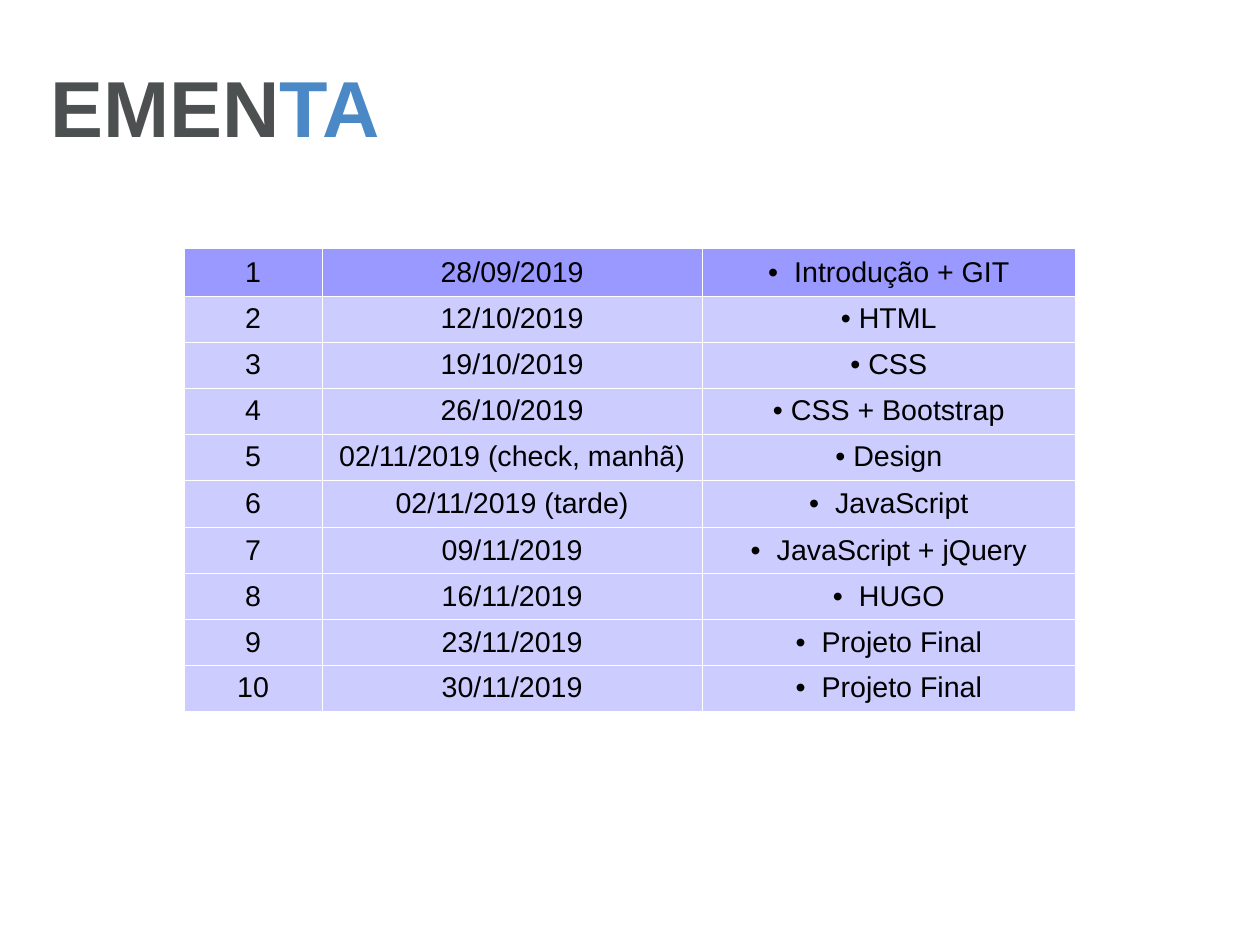
import pptx
import pptx.dml.color
import pptx.enum.text
import pptx.oxml
import pptx.oxml.ns
import pptx.util
from dataclasses import dataclass

Cm = pptx.util.Cm
Pt = pptx.util.Pt
RGBColor = pptx.dml.color.RGBColor
Align = pptx.enum.text.PP_ALIGN
Anchor = pptx.enum.text.MSO_ANCHOR


@dataclass
class Theme:
    font: str = "Arial"
    title_size: int = 50
    table_size: int = 18
    gray: str = "4C5051"
    blue: str = "4A88C6"
    text: str = "000000"
    header: str = "9999FF"
    bands: tuple = ("E6E6FF", "CCCCFF")
    border: str = "FFFFFF"


theme = Theme()


def write(para, text, size=theme.table_size, color=theme.text, bold=False,
          align=Align.LEFT, bullet_gap=None):
    """Add a run to a paragraph; bullet_gap is the room for a bullet, if any."""
    if bullet_gap is not None:
        properties = para._p.get_or_add_pPr()
        properties.set("marL", str(bullet_gap))
        properties.set("indent", str(-bullet_gap))
        properties.append(pptx.oxml.parse_xml(
            f'<a:buFont {pptx.oxml.ns.nsdecls("a")} typeface="{theme.font}"/>'))
        properties.append(pptx.oxml.parse_xml(
            f'<a:buChar {pptx.oxml.ns.nsdecls("a")} char="•"/>'))
    para.alignment = align
    span = para.add_run()
    span.text = text
    span.font.name = theme.font
    span.font.size = Pt(size)
    span.font.bold = bold
    span.font.color.rgb = RGBColor.from_string(color)


def add_borders(cell):
    properties = cell._tc.get_or_add_tcPr()
    for position, side in enumerate(("lnL", "lnR", "lnT", "lnB")):
        properties.insert(position, pptx.oxml.parse_xml(
            f'<a:{side} {pptx.oxml.ns.nsdecls("a")} w="{Pt(0.06)}"><a:solidFill>'
            f'<a:srgbClr val="{theme.border}"/></a:solidFill></a:{side}>'))


deck = pptx.Presentation()
deck.slide_width = Cm(28)
deck.slide_height = Cm(21)
page = deck.slides.add_slide(deck.slide_layouts[6])

# Title
box = page.shapes.add_textbox(Cm(1.12), Cm(0.61), Cm(25.2), Cm(3.5))
frame = box.text_frame
frame.word_wrap = True
frame.vertical_anchor = Anchor.MIDDLE
frame.margin_left = frame.margin_right = frame.margin_top = frame.margin_bottom = 0
for text, color in (("EMEN", theme.gray), ("TA", theme.blue)):
    write(frame.paragraphs[0], text, size=theme.title_size, color=color, bold=True)

# Class schedule
narrow, wide = Cm(0.4), Cm(0.58)
low, tall = Cm(1.02), Cm(1.06)
lessons = [
    ("28/09/2019", "Introdução + GIT", wide, tall),
    ("12/10/2019", "HTML", narrow, low),
    ("19/10/2019", "CSS", narrow, low),
    ("26/10/2019", "CSS + Bootstrap", narrow, low),
    ("02/11/2019 (check, manhã)", "Design", narrow, low),
    ("02/11/2019 (tarde)", "JavaScript", wide, tall),
    ("09/11/2019", "JavaScript + jQuery", wide, low),
    ("16/11/2019", "HUGO", wide, low),
    ("23/11/2019", "Projeto Final", wide, low),
    ("30/11/2019", "Projeto Final", wide, low),
]
column_widths = (Cm(3.05), Cm(8.46), Cm(8.28))
schedule = page.shapes.add_table(
    len(lessons), len(column_widths), Cm(4.1), Cm(5.52),
    sum(column_widths), sum(lesson[3] for lesson in lessons)).table
for column, width in zip(schedule.columns, column_widths):
    column.width = width

for index, (date, topic, gap, height) in enumerate(lessons):
    schedule.rows[index].height = height
    fill = theme.bands[index % 2 == 0 and 0 or 1] if index else theme.header
    contents = ((str(index + 1), None), (date, None), (topic, gap))
    for cell, (text, bullet_gap) in zip(schedule.rows[index].cells, contents):
        cell.vertical_anchor = Anchor.MIDDLE
        cell.fill.solid()
        cell.fill.fore_color.rgb = RGBColor.from_string(fill)
        add_borders(cell)
        write(cell.text_frame.paragraphs[0], text, align=Align.CENTER,
              bullet_gap=bullet_gap)

deck.save("out.pptx")
